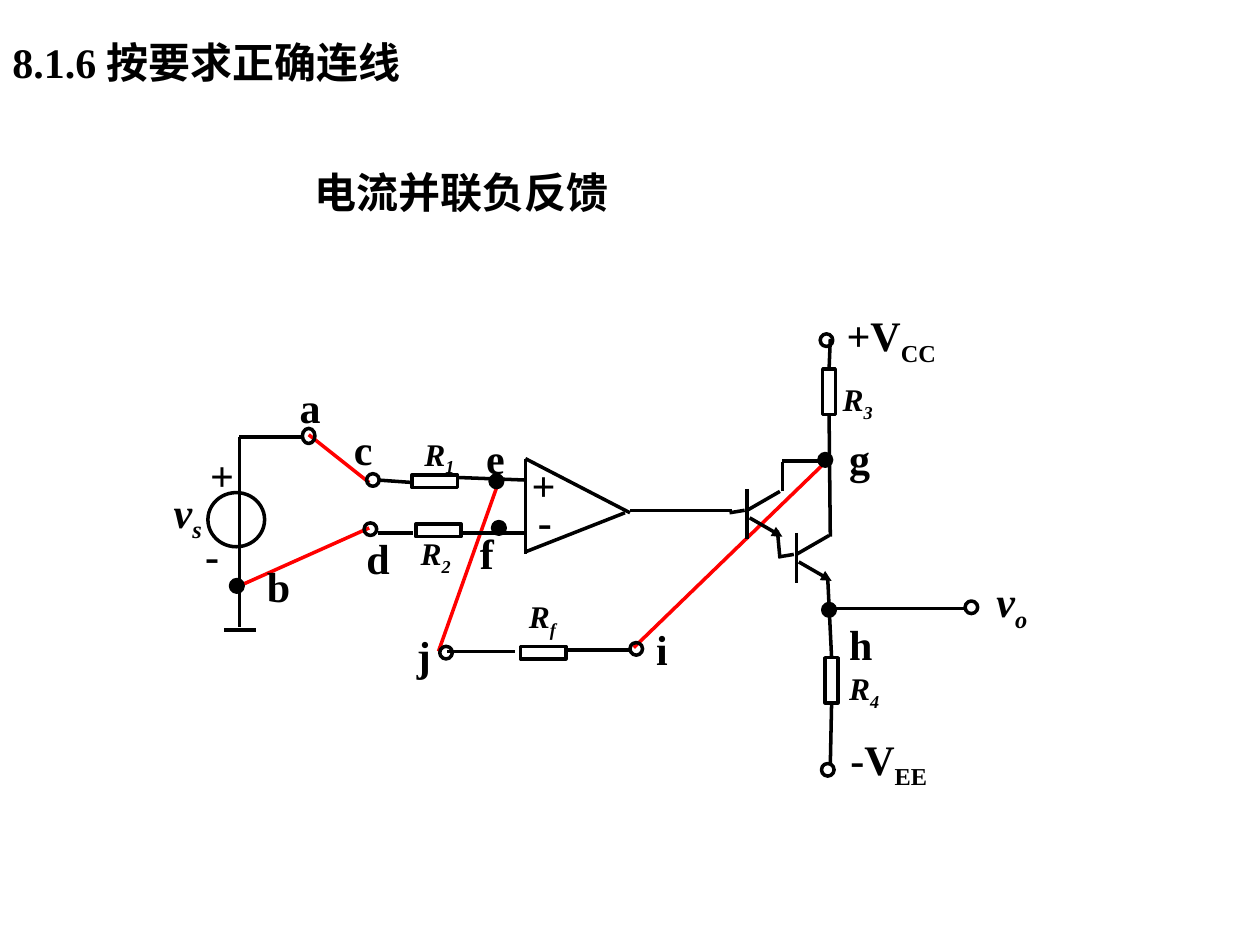
from lxml import etree
from pptx import Presentation
from pptx.dml.color import RGBColor
from pptx.enum import shapes, text
from pptx.oxml.ns import qn
from pptx.util import Inches, Pt

BLACK = RGBColor(0, 0, 0)
RED = RGBColor(255, 0, 0)
FONT = "Times New Roman"
LINE_WIDTH = Pt(2)
NODE = 0.1
RESISTOR = (0.1, 0.36)

FEEDBACK_WIRES = [
    (2.45, 3.45, 2.93, 3.83), (1.9, 4.65, 2.93, 4.19),
    (6.57, 3.65, 5.03, 5.14), (3.48, 5.17, 3.97, 3.79),
]
AMPLIFIER = [
    (4.17, 3.64, 4.17, 4.4), (4.17, 3.64, 5, 4.07), (4.96, 4.07, 4.17, 4.38),
]
WIRES = [
    # signal source and ground
    (1.9, 3.47, 1.9, 4.98), (1.78, 5, 2.03, 5), (1.9, 3.47, 2.4, 3.47),
    # amplifier inputs and output
    (3.64, 3.79, 4.17, 3.81), (3.67, 4.23, 4.17, 4.23),
    (3, 3.81, 3.28, 3.83), (3, 4.23, 3.28, 4.23), (5, 4.05, 5.81, 4.05),
    # between the transistors, and to the output
    (6.17, 4.21, 6.19, 4.43), (6.21, 3.9, 6.21, 3.67),
    (6.21, 3.66, 6.59, 3.66), (6.59, 4.83, 7.67, 4.83),
    # feedback branch
    (4.48, 5.16, 5, 5.16), (3.55, 5.17, 4.09, 5.17),
]
TRANSISTORS = [(5.93, 3.88), (6.32, 4.23)]
LYING_RESISTORS = [(3.4, 3.64), (3.43, 4.03), (4.26, 5)]
OPEN_NODES = [
    (2.91, 3.76), (2.89, 4.15), (6.51, 2.65), (6.52, 6.06),
    (7.66, 4.77), (3.49, 5.13), (5, 5.1),
]
FILLED_NODES = [
    (3.89, 3.77), (3.91, 4.14), (6.5, 3.6), (6.53, 4.79), (1.83, 4.6),
]
RESISTOR_NAMES = [
    ("1", 3.27, 3.4), ("2", 3.24, 4.19), ("f", 4.1, 4.69),
    ("3", 6.59, 2.97), ("4", 6.64, 5.26),
]
LETTERS = [
    ("+", 4.12, 3.6, 0.41), ("-", 4.17, 3.88, 0.41),
    ("+", 1.57, 3.52, 0.55), ("-", 1.53, 4.15, 0.55),
    ("a", 2.28, 2.98, 0.53), ("b", 2.02, 4.4, 0.47),
    ("c", 2.71, 3.31, 0.45), ("d", 2.81, 4.18, 0.45),
    ("e", 3.76, 3.38, 0.38), ("f", 3.71, 4.14, 0.45),
    ("g", 6.64, 3.38, 0.62), ("h", 6.64, 4.86, 0.64),
    ("i", 5.11, 4.9, 0.74), ("j", 3.21, 4.95, 0.86),
]


def add_label(slide, wording, left, top, width, height=0.5, subscript="",
              size=24, italic=False):
    box = slide.shapes.add_textbox(
        Inches(left), Inches(top), Inches(width), Inches(height))
    frame = box.text_frame
    frame.word_wrap = True
    frame.auto_size = text.MSO_AUTO_SIZE.SHAPE_TO_FIT_TEXT
    paragraph = frame.paragraphs[0]
    paragraph.add_run().text = wording
    if subscript:
        run = paragraph.add_run()
        run.text = subscript
        run._r.get_or_add_rPr().set("baseline", "-25000")
    font = paragraph.font
    font.name = FONT
    font.size = Pt(size)
    font.bold = True
    font.italic = italic
    font.color.rgb = BLACK


def add_wire(slide, x1, y1, x2, y2, color=BLACK, arrow=False):
    wire = slide.shapes.add_connector(
        shapes.MSO_CONNECTOR.STRAIGHT,
        Inches(x1), Inches(y1), Inches(x2), Inches(y2))
    wire.line.color.rgb = color
    wire.line.width = LINE_WIDTH
    if arrow:
        etree.SubElement(wire.line._get_or_add_ln(), qn("a:tailEnd"),
                         type="triangle")
    etree.SubElement(wire._element.spPr, qn("a:effectLst"))
    return wire


def add_outline(slide, kind, left, top, width, height, filled=False):
    shape = slide.shapes.add_shape(
        kind, Inches(left), Inches(top), Inches(width), Inches(height))
    shape.shadow.inherit = False
    shape.line.color.rgb = BLACK
    shape.line.width = LINE_WIDTH
    if filled:
        shape.fill.solid()
        shape.fill.fore_color.rgb = BLACK
    else:
        shape.fill.background()
    return shape


def add_circle(slide, left, top, width=NODE, height=NODE, filled=False):
    add_outline(slide, shapes.MSO_SHAPE.OVAL, left, top, width, height, filled)


def add_resistor(slide, left, top, rotation=0):
    resistor = add_outline(
        slide, shapes.MSO_SHAPE.RECTANGLE, left, top, *RESISTOR)
    resistor.rotation = rotation
    return resistor


def add_transistor(slide, x, y):
    """Draw a transistor whose base bar starts at (x, y)."""
    add_wire(slide, x, y, x, y + 0.4)
    add_wire(slide, x, y + 0.17, x + 0.26, y + 0.02)
    add_wire(slide, x + 0.02, y + 0.23, x + 0.28, y + 0.38, arrow=True)
    add_wire(slide, x - 0.02, y + 0.17, x - 0.14, y + 0.19)


def add_supply_branch(slide, left, top, above, below):
    """Draw an upright resistor joined to a point above and one below."""
    resistor = add_resistor(slide, left, top)
    add_wire(slide, *above, left, top).end_connect(resistor, 0)
    add_wire(slide, *below, left, top).end_connect(resistor, 2)


def main():
    presentation = Presentation()
    presentation.slide_width = Inches(10)
    presentation.slide_height = Inches(7.5)
    slide = presentation.slides.add_slide(presentation.slide_layouts[6])

    add_label(slide, "8.1.6 按要求正确连线", 0, 0.24, 8.4)
    add_label(slide, "电流并联负反馈", 2.4, 1.27, 2.82)

    for wire in FEEDBACK_WIRES:
        add_wire(slide, *wire, color=RED)
    for wire in AMPLIFIER + WIRES:
        add_wire(slide, *wire)
    for corner in TRANSISTORS:
        add_transistor(slide, *corner)
    add_supply_branch(slide, 6.53, 2.93, (6.59, 2.69), (6.59, 4.26))
    add_supply_branch(slide, 6.55, 5.22, (6.57, 4.6), (6.59, 6.07))
    for corner in LYING_RESISTORS:
        add_resistor(slide, *corner, rotation=90)

    add_circle(slide, 1.65, 3.91, 0.45, 0.43)
    add_circle(slide, 2.4, 3.4, height=0.12)
    for corner in OPEN_NODES:
        add_circle(slide, *corner)
    for corner in FILLED_NODES:
        add_circle(slide, *corner, filled=True)

    for subscript, left, top in RESISTOR_NAMES:
        add_label(slide, "R", left, top, 0.73, 0.4, subscript, 18, italic=True)
    for letter in LETTERS:
        add_label(slide, *letter)
    add_label(slide, "v", 1.28, 3.81, 0.57, subscript="s", italic=True)
    add_label(slide, "v", 7.81, 4.52, 0.59, 1.1, subscript="o", italic=True)
    add_label(slide, "+V", 6.62, 2.41, 1.28, subscript="CC")
    add_label(slide, "-V", 6.65, 5.77, 1.28, subscript="EE")

    presentation.save("out.pptx")


if __name__ == "__main__":
    main()
